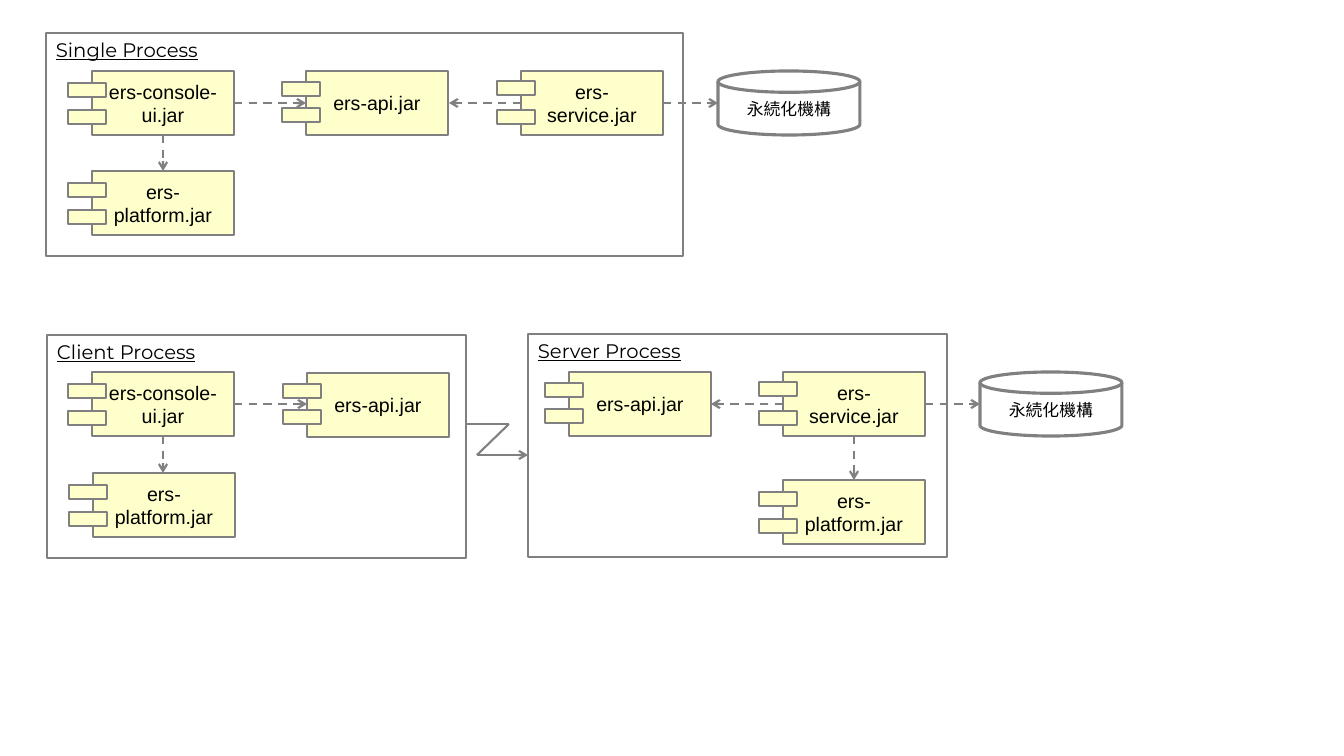
from dataclasses import dataclass

import lxml.etree
import pptx
import pptx.dml.color
import pptx.enum.dml
import pptx.enum.shapes
import pptx.enum.text
import pptx.oxml.ns
import pptx.util

SCALE = 914400 / 100.8
COLORS = {"jar": "FFFFCC", "line": "808080", "text": "000000", "store": "FFFFFF"}
KIND = pptx.enum.shapes.MSO_SHAPE
ALIGN = pptx.enum.text.PP_ALIGN
ANCHOR = pptx.enum.text.MSO_ANCHOR
WIDE, HIGH = 142, 64  # every jar and store
TAB_WIDE, TAB_HIGH, TAB_OUT = 38, 14, 24


@dataclass
class Jar:
    lines: tuple[str, ...]
    tabs: tuple[int, int]  # tab tops below the jar top


@dataclass
class Frame:
    title: str
    left: int
    top: int
    width: int
    jars: tuple[tuple[Jar, int, int], ...]
    height: int = 223


@dataclass
class Wire:
    start: tuple[int, int]
    end: tuple[int, int]
    dash: bool = True
    arrow: bool = True


def px(value: int) -> int:
    return round(value * SCALE)


def tint(name: str) -> pptx.dml.color.RGBColor:
    return pptx.dml.color.RGBColor.from_string(COLORS[name])


def add_node(parent, tag: str, **values: str) -> None:
    lxml.etree.SubElement(parent, pptx.oxml.ns.qn(tag), values)


def add_box(kind, left: int, top: int, width: int, height: int,
            fill: str | None = None, line: float = 1.5):
    box = slide.shapes.add_shape(kind, px(left), px(top), px(width), px(height))
    box.shadow.inherit = False
    if fill:
        box.fill.solid()
        box.fill.fore_color.rgb = tint(fill)
    else:
        box.fill.background()
    box.line.color.rgb = tint("line")
    box.line.width = pptx.util.Pt(line)
    return box


def add_text(box, lines: tuple[str, ...], font: str, size: int,
             align=ALIGN.CENTER, anchor=ANCHOR.MIDDLE, under: bool = False) -> None:
    frame = box.text_frame
    frame.word_wrap = True
    frame.vertical_anchor = anchor
    for i, line in enumerate(lines):
        para = frame.add_paragraph() if i else frame.paragraphs[0]
        para.alignment = align
        run = para.add_run()
        run.text = line
        run.font.size = pptx.util.Pt(size)
        run.font.name = font
        run.font.color.rgb = tint("text")
        if under:
            run.font.underline = True
        add_node(run.font._element, "a:ea", typeface=font)


def add_jar(jar: Jar, left: int, top: int) -> None:
    box = add_box(KIND.RECTANGLE, left, top, WIDE, HIGH, "jar")
    add_text(box, jar.lines, "Arial", 14)
    for drop in jar.tabs:
        add_box(KIND.RECTANGLE, left - TAB_OUT, top + drop, TAB_WIDE, TAB_HIGH, "jar")


def add_store(left: int, top: int) -> None:
    disk = add_box(KIND.FLOWCHART_MAGNETIC_DISK, left, top, WIDE, HIGH, "store", 2.25)
    add_text(disk, ("永続化機構",), "Noto Sans CJK JP", 12)


def add_wire(wire: Wire) -> None:
    link = slide.shapes.add_connector(
        pptx.enum.shapes.MSO_CONNECTOR.STRAIGHT,
        *(px(value) for value in wire.start + wire.end))
    link.line.color.rgb = tint("line")
    link.line.width = pptx.util.Pt(1.5)
    if wire.dash:
        link.line.dash_style = pptx.enum.dml.MSO_LINE.DASH
    if wire.arrow:
        add_node(link.get_or_add_ln(), "a:tailEnd", type="arrow")
    add_node(link._element.spPr, "a:effectLst")


def add_frame(frame: Frame) -> None:
    for jar, left, top in frame.jars:
        add_jar(jar, left, top)
    box = add_box(KIND.RECTANGLE, frame.left, frame.top, frame.width, frame.height)
    add_text(box, (frame.title,), "Montserrat", 14, ALIGN.LEFT, ANCHOR.TOP, True)


# Jars
UI = Jar(("ers-console-ui.jar",), (12, 39))
BASE = Jar(("ers-platform.jar",), (12, 39))
API = Jar(("ers-api.jar",), (11, 37))
SERVICE = Jar(("ers-", "service.jar"), (10, 39))

# Processes with the jars they hold
FRAMES = (
    Frame("Single Process", 46, 33, 637,
          ((UI, 92, 71), (BASE, 92, 171), (API, 306, 71), (SERVICE, 521, 71))),
    Frame("Client Process", 47, 335, 419,
          ((UI, 92, 372), (BASE, 93, 473), (API, 307, 373))),
    Frame("Server Process", 528, 334, 419,
          ((API, 569, 372), (SERVICE, 783, 372), (BASE, 783, 480))),
)
STORES = ((718, 71), (980, 372))

# Dependencies, then the remote call from client to server
WIRES = (
    Wire((163, 135), (163, 171)),
    Wire((234, 103), (306, 103)),
    Wire((521, 103), (449, 103)),
    Wire((663, 103), (718, 103)),
    Wire((163, 436), (163, 473)),
    Wire((234, 404), (307, 404)),
    Wire((783, 404), (711, 404)),
    Wire((925, 404), (980, 404)),
    Wire((854, 436), (854, 480)),
    Wire((466, 424), (509, 424), dash=False, arrow=False),
    Wire((509, 424), (477, 455), dash=False, arrow=False),
    Wire((477, 455), (528, 455), dash=False),
)

# Slide
deck = pptx.Presentation()
deck.slide_width, deck.slide_height = px(1344), px(756)
slide = deck.slides.add_slide(deck.slide_layouts[6])
for frame in FRAMES:
    add_frame(frame)
for spot in STORES:
    add_store(*spot)
for wire in WIRES:
    add_wire(wire)
deck.save("out.pptx")
